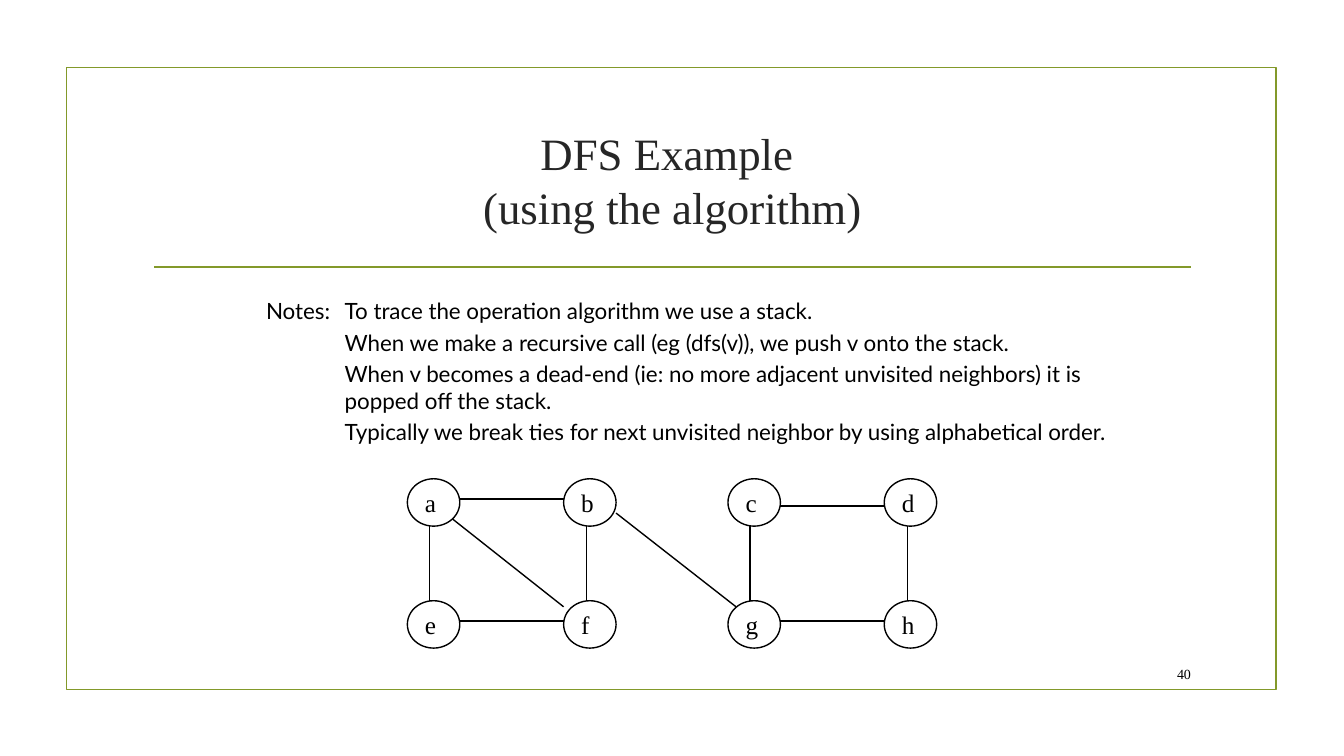
from typing import NamedTuple

from lxml import etree
from pptx import Presentation
from pptx.dml.color import RGBColor
from pptx.enum.shapes import MSO_CONNECTOR, MSO_SHAPE
from pptx.enum.text import MSO_ANCHOR, PP_ALIGN
from pptx.oxml.ns import qn
from pptx.util import Pt

STRAIGHT = MSO_CONNECTOR.STRAIGHT
RECTANGLE, OVAL = MSO_SHAPE.RECTANGLE, MSO_SHAPE.OVAL
TOP, MIDDLE = MSO_ANCHOR.TOP, MSO_ANCHOR.MIDDLE
LEFT, CENTER, RIGHT = PP_ALIGN.LEFT, PP_ALIGN.CENTER, PP_ALIGN.RIGHT
EMU_PER_PX = 9144
COLORS = {"olive": "83992A", "title": "262626", "black": "000000"}
SERIF, SANS = "Times New Roman", "Lato"
NODE_WIDTH, NODE_HEIGHT = 52, 47
COLUMNS, ROWS = (404, 559, 722, 877), (475, 596)
NODE_NAMES = ("abcd", "efgh")
NOTES = (
    "Notes: \tTo trace the operation algorithm we use a stack.",
    "\tWhen we make a recursive call (eg (dfs(v)), we push v onto the stack.",
    "\tWhen v becomes a dead-end (ie: no more adjacent unvisited neighbors) "
    "it is popped off the stack.",
    "\tTypically we break ties for next unvisited neighbor by using alphabetical order.",
)


class Box(NamedTuple):
    """A rectangle in px."""

    left: int
    top: int
    width: int
    height: int


class Edge(NamedTuple):
    """A straight line between two points in px."""

    x1: int
    y1: int
    x2: int
    y2: int


EDGES = (
    Edge(456, 495, 559, 495),
    Edge(426, 522, 426, 596),
    Edge(456, 616, 559, 616),
    Edge(582, 522, 582, 596),
    Edge(449, 515, 559, 602),
    Edge(744, 522, 744, 596),
    Edge(774, 616, 877, 616),
    Edge(900, 522, 900, 596),
    Edge(774, 502, 877, 502),
    Edge(611, 509, 730, 602),
)


def px(length: int) -> int:
    """Turn px into EMU."""
    return length * EMU_PER_PX


def emu(lengths: tuple) -> list:
    """Turn a box or an edge into EMU."""
    return [px(length) for length in lengths]


def write(shape, *lines: str, size: int, font: str = SERIF, color: str = "black",
          align=LEFT, anchor=MIDDLE, wrap: bool = True, before: float = 0,
          hanging: int = 0) -> None:
    """Fill a shape with formatted paragraphs."""
    frame = shape.text_frame
    frame.word_wrap = wrap
    frame.vertical_anchor = anchor
    for index, line in enumerate(lines):
        para = frame.add_paragraph() if index else frame.paragraphs[0]
        para.text = line
        para.alignment = align
        if index:
            para.space_before = Pt(before)
        if hanging:
            properties = para._p.get_or_add_pPr()
            properties.set("marL", str(px(hanging)))
            properties.set("indent", str(-px(hanging)))
        for span in para.runs:
            span.font.size = Pt(size)
            span.font.name = font
            span.font.color.rgb = RGBColor.from_string(COLORS[color])


def add_outline(page, kind, box: Box, color: str, weight: float):
    """Add an unfilled shape with a coloured outline."""
    shape = page.shapes.add_shape(kind, *emu(box))
    shape.shadow.inherit = False
    shape.fill.background()
    shape.line.color.rgb = RGBColor.from_string(COLORS[color])
    shape.line.width = Pt(weight)
    return shape


def add_edge(page, edge: Edge, color: str = "black", weight: float = 1) -> None:
    """Add a straight line without a shadow."""
    line = page.shapes.add_connector(STRAIGHT, *emu(edge))
    line.line.color.rgb = RGBColor.from_string(COLORS[color])
    line.line.width = Pt(weight)
    etree.SubElement(line._element.spPr, qn("a:effectLst"))


def main() -> None:
    """Build and save the slide."""
    deck = Presentation()
    deck.slide_width, deck.slide_height = px(1333), px(750)
    page = deck.slides.add_slide(deck.slide_layouts[5])

    add_outline(page, RECTANGLE, Box(66, 67, 1200, 617), "olive", 1.25)
    add_edge(page, Edge(153, 265, 1181, 265), "olive", 1.25)

    title = page.shapes.title
    title.left, title.top, title.width, title.height = emu(Box(142, 107, 1050, 143))
    write(title, "DFS Example \v(using the algorithm)", size=32, color="title", align=CENTER)

    number = page.shapes.add_textbox(*emu(Box(1132, 653, 59, 31)))
    write(number, "40", size=10, align=RIGHT)

    notes = page.shapes.add_textbox(*emu(Box(254, 290, 875, 161)))
    write(notes, *NOTES, size=16, font=SANS, anchor=TOP, before=3.2, hanging=78)

    for top, names in zip(ROWS, NODE_NAMES):
        for left, name in zip(COLUMNS, names):
            node = add_outline(page, OVAL, Box(left, top, NODE_WIDTH, NODE_HEIGHT), "black", 1)
            write(node, name, size=18, wrap=False)
    for edge in EDGES:
        add_edge(page, edge)

    deck.save("out.pptx")


if __name__ == "__main__":
    main()
